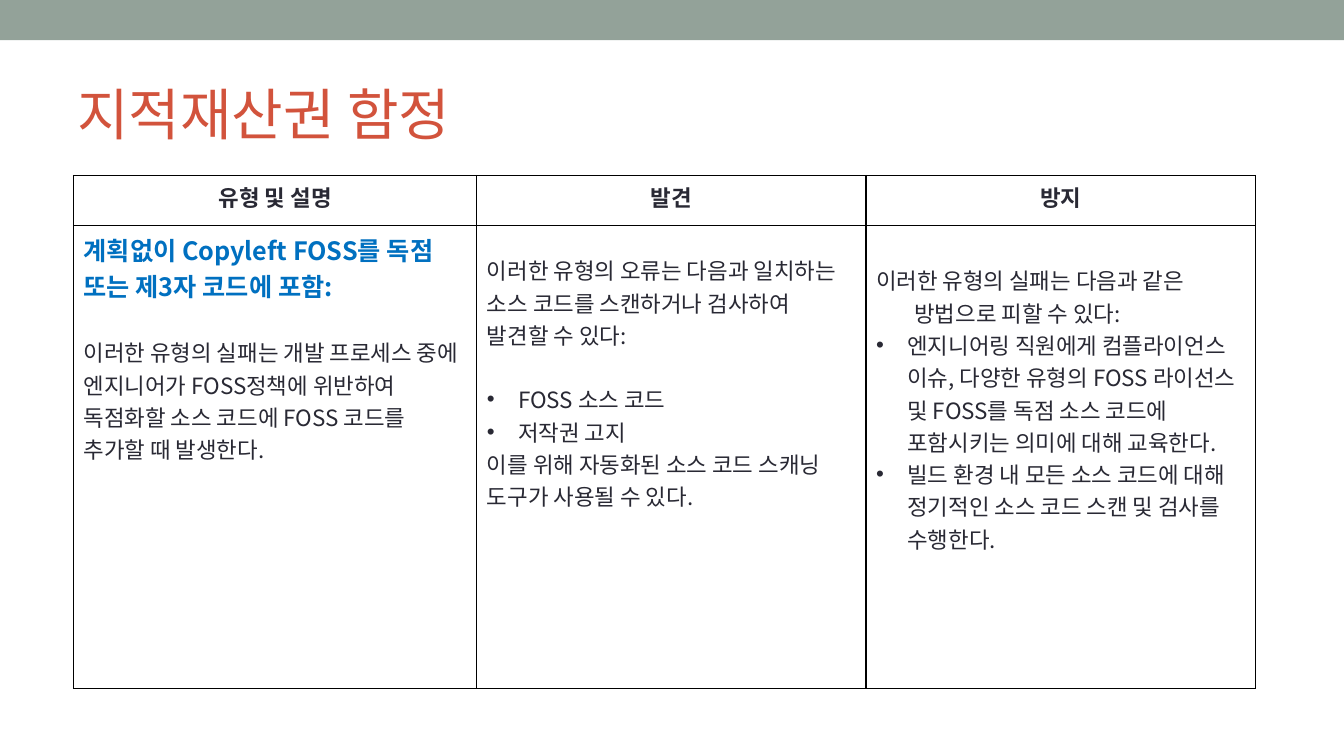
"""Build a slide with a table on intellectual property pitfalls."""
import pptx
import pptx.dml.color
import pptx.enum.shapes
import pptx.enum.text
import pptx.oxml.ns
import pptx.util
from lxml import etree

Inches, Pt = pptx.util.Inches, pptx.util.Pt
PP_ALIGN, MSO_ANCHOR = pptx.enum.text.PP_ALIGN, pptx.enum.text.MSO_ANCHOR

FONT = "Noto Sans CJK KR"
INK, BLUE, RED, SAGE = "292934", "0070C0", "D2533C", "93A299"
TITLE = "지적재산권 함정"
HEADERS = ["유형 및 설명", "발견", "방지"]
BULLET = {"hang": 0.31, "bullet": "•"}
BODIES = [
    (0.05, [
        ("계획없이 Copyleft FOSS를 독점 또는 제3자 코드에 포함:",
         {"size": 18, "color": BLUE, "bold": True}),
        ("이러한 유형의 실패는 개발 프로세스 중에 엔지니어가 FOSS정책에 위반하여 "
         "독점화할 소스 코드에 FOSS 코드를 추가할 때 발생한다.", {"before": 23}),
    ]),
    (0.28, [
        ("이러한 유형의 오류는 다음과 일치하는 소스 코드를 스캔하거나 검사하여 "
         "발견할 수 있다:", {}),
        ("FOSS 소스 코드", {**BULLET, "before": 23}),
        ("저작권 고지", BULLET),
        ("이를 위해 자동화된 소스 코드 스캐닝 도구가 사용될 수 있다.", {}),
    ]),
    (0.38, [
        ("이러한 유형의 실패는 다음과 같은 방법으로 피할 수 있다:", {"hang": 0.38}),
        ("엔지니어링 직원에게 컴플라이언스 이슈, 다양한 유형의 FOSS 라이선스 및 "
         "FOSS를 독점 소스 코드에 포함시키는 의미에 대해 교육한다.", BULLET),
        ("빌드 환경 내 모든 소스 코드에 대해 정기적인 소스 코드 스캔 및 검사를 "
         "수행한다.", BULLET),
    ]),
]
COLS, ROWS = [4, 3.86, 3.86], [0.5, 4.59]


def rgb(color):
    return pptx.dml.color.RGBColor.from_string(color)


def add_xml(parent, tag, **attrs):
    return etree.SubElement(parent, pptx.oxml.ns.qn(tag), **attrs)


def write(p, text, size=16, color=INK, bold=False, align=PP_ALIGN.LEFT,
          before=0, hang=0, bullet=None):
    p.alignment = align
    p.space_before = Pt(before)
    pPr = p._p.get_or_add_pPr()
    if hang:
        pPr.set("marL", str(Inches(hang)))
        pPr.set("indent", str(-Inches(hang)))
    if bullet:
        add_xml(pPr, "a:buFont", typeface="Arial")
        add_xml(pPr, "a:buChar", char=bullet)
    r = p.add_run()
    r.text = text
    r.font.name, r.font.size, r.font.bold = FONT, Pt(size), bold
    r.font.color.rgb = rgb(color)
    add_xml(r._r.get_or_add_rPr(), "a:ea", typeface=FONT)


def fill_cell(cell, paragraphs, top=0.05):
    cell.margin_left = cell.margin_right = Inches(0.1)
    cell.margin_top, cell.margin_bottom = Inches(top), Inches(0.05)
    cell.vertical_anchor = MSO_ANCHOR.TOP
    tcPr = cell._tc.get_or_add_tcPr()
    for side in ("a:lnL", "a:lnR", "a:lnT", "a:lnB"):
        ln = add_xml(tcPr, side, w=str(Pt(1)))
        add_xml(add_xml(ln, "a:solidFill"), "a:srgbClr", val="000000")
    cell.fill.background()
    tf = cell.text_frame
    for i, (text, style) in enumerate(paragraphs):
        write(tf.add_paragraph() if i else tf.paragraphs[0], text, **style)


def main():
    prs = pptx.Presentation()
    prs.slide_width, prs.slide_height = Inches(13.33), Inches(7.5)
    s = prs.slides.add_slide(prs.slide_layouts[6])

    band = s.shapes.add_shape(pptx.enum.shapes.MSO_SHAPE.RECTANGLE,
                              0, 0, prs.slide_width, Inches(0.4))
    band.shadow.inherit = False
    band.fill.solid()
    band.fill.fore_color.rgb = rgb(SAGE)
    band.line.fill.background()

    title = s.shapes.add_textbox(Inches(0.67), Inches(0.58), Inches(12), Inches(1.08))
    tf = title.text_frame
    tf.word_wrap = True
    tf.vertical_anchor = MSO_ANCHOR.MIDDLE
    write(tf.paragraphs[0], TITLE, size=40, color=RED)

    table = s.shapes.add_table(len(ROWS), len(COLS), Inches(0.73), Inches(1.74),
                               Inches(sum(COLS)), Inches(sum(ROWS))).table
    table.first_row = table.horz_banding = False
    for row, height in zip(table.rows, ROWS):
        row.height = Inches(height)
    for c, (width, header, (top, body)) in enumerate(zip(COLS, HEADERS, BODIES)):
        table.columns[c].width = Inches(width)
        fill_cell(table.cell(0, c), [(header, {"bold": True, "align": PP_ALIGN.CENTER})])
        fill_cell(table.cell(1, c), body, top)
    prs.save("out.pptx")


if __name__ == "__main__":
    main()
